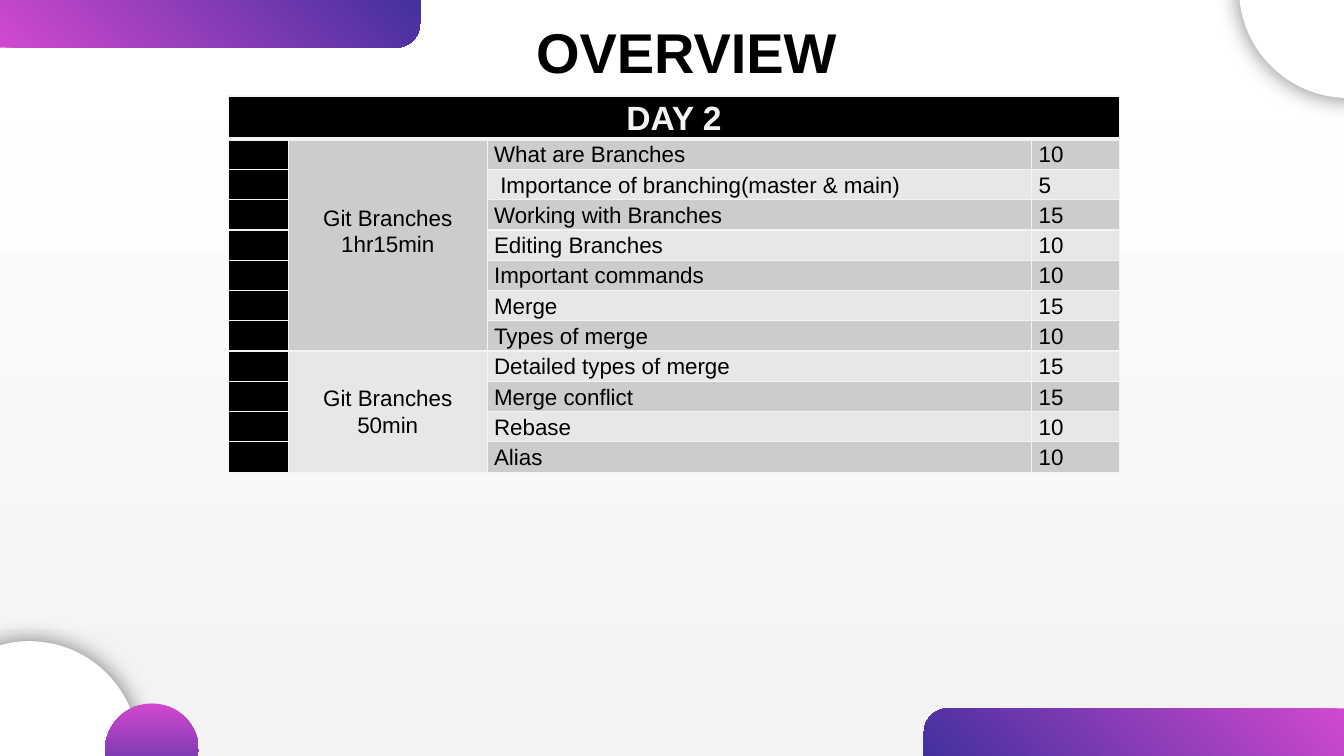
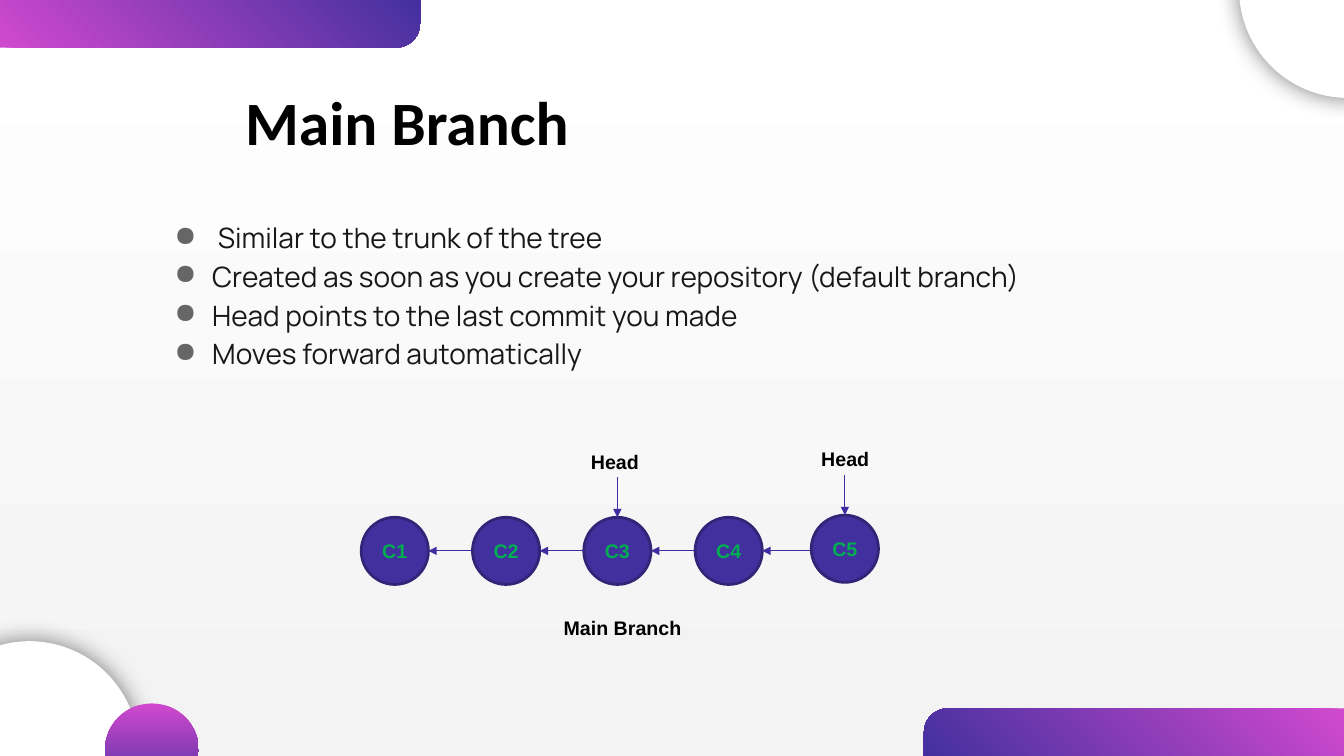
import pptx
import pptx.util
import pptx.dml.color
import pptx.enum.shapes
import pptx.enum.text
import pptx.oxml
import pptx.oxml.ns
import lxml.etree

Pt = pptx.util.Pt
qn = pptx.oxml.ns.qn
SHAPE = pptx.enum.shapes.MSO_SHAPE
ALIGN = pptx.enum.text.PP_ALIGN
ANCHOR = pptx.enum.text.MSO_ANCHOR

W, H = 960, 540
C = {"white": "FFFFFF", "pale": "F3F3F3", "black": "000000", "pink": "D149CE",
     "indigo": "43309F", "outline": "322476", "arrow": "402C9E", "green": "00B050",
     "odd": "CCCCCC", "even": "E7E7E7", "bullet": "666666", "body": "181818"}
LABEL = dict(size=14, color="black", bold=True)


def rgb(name):
    return pptx.dml.color.RGBColor.from_string(C[name])


def sub(parent, tag, **attrs):
    """Append a drawing element with the given attributes."""
    return lxml.etree.SubElement(parent, qn("a:" + tag), {k: str(v) for k, v in attrs.items()})


def paint(fill, color):
    """Solid for a colour name, gradient for (start, end, clockwise angle)."""
    if isinstance(color, str):
        fill.solid()
        fill.fore_color.rgb = rgb(color)
        return
    fill.gradient()
    fill.gradient_angle = 360 - color[2]
    for i, name in enumerate(color[:2]):
        fill.gradient_stops[i].color.rgb = rgb(name)
        fill.gradient_stops[i].position = i


def add_shape(s, kind, box, color):
    sp = s.shapes.add_shape(kind, *map(Pt, box))
    sp.shadow.inherit = False
    sp.line.fill.background()
    paint(sp.fill, color)
    return sp


def write(tf, lines, size, color, bold=False, font="Arial", align=ALIGN.LEFT, spacing=None):
    tf.word_wrap = True
    for i, line in enumerate(lines):
        p = tf.paragraphs[0] if i == 0 else tf.add_paragraph()
        p.alignment = align
        if spacing:
            p.line_spacing = spacing
        r = p.add_run()
        r.text = line
        r.font.size, r.font.bold, r.font.name = Pt(size), bold, font
        r.font.color.rgb = rgb(color)


def add_text(s, box, lines, **style):
    tf = s.shapes.add_textbox(*map(Pt, box)).text_frame
    write(tf, lines, **style)
    return tf


def add_title(s, box, text, size, font, align=ALIGN.LEFT):
    tf = add_text(s, box, [text], size=size, color="black", bold=True, font=font, align=align)
    tf.vertical_anchor = ANCHOR.MIDDLE
    return tf


def add_arrow(s, x1, y1, x2, y2):
    cx = s.shapes.add_connector(pptx.enum.shapes.MSO_CONNECTOR.STRAIGHT,
                                Pt(x1), Pt(y1), Pt(x2), Pt(y2))
    cx.line.color.rgb = rgb("arrow")
    cx.line.width = Pt(0.75)
    sub(cx.line._get_or_add_ln(), "tailEnd", type="triangle")
    sub(cx.element.spPr, "effectLst")


# Shared look: background and corner decoration live on the layout
def decorate(layout, s):
    paint(layout.background.fill, ("white", "pale", 90))
    parts = []
    band_w, band_h, disc = 300, 34, 156
    for x, y, turn in ((0, 0, 180), (W - band_w, H - band_h, 0)):
        band = add_shape(s, SHAPE.ROUND_1_RECTANGLE, (x, y, band_w, band_h),
                         ("pink", "indigo", 45))
        band.adjustments[0] = 0.5
        band.rotation = turn
        band.element.spPr.find(qn("a:xfrm")).set("flipH", "1")
        parts.append(band)
    for x, y in ((-57, 458), (885, -86)):
        circle = add_shape(s, SHAPE.OVAL, (x, y, disc, disc), "white")
        glow = sub(circle.element.spPr.find(qn("a:effectLst")), "outerShdw",
                   blurRad=Pt(16.9), dist=0, dir=0, algn="ctr", rotWithShape=0)
        sub(sub(glow, "srgbClr", val=C["black"]), "alpha", val=50000)
        parts.append(circle)
    parts.append(add_shape(s, SHAPE.OVAL, (75, 502.5, 67, 67), ("pink", "indigo", 90)))
    for sp in parts:
        layout.shapes.element.append(sp.element)


# Agenda table
def style_cell(cell, color, top=1, bottom=1):
    tcPr = cell._tc.get_or_add_tcPr()
    for side, width in (("L", 1), ("R", 1), ("T", top), ("B", bottom)):
        ln = sub(tcPr, "ln" + side, w=Pt(width))
        sub(sub(ln, "solidFill"), "srgbClr", val=C["pale"])
    paint(cell.fill, color)
    cell.margin_left = cell.margin_right = Pt(5)
    cell.margin_top = cell.margin_bottom = 0
    cell.vertical_anchor = ANCHOR.MIDDLE


def agenda(s, box, heading, sections):
    x, y, header_h, row_h = box
    widths = (43, 142, 389, 63)
    count = 1 + sum(len(topics) for _, topics in sections)
    frame = s.shapes.add_table(count, len(widths), Pt(x), Pt(y), Pt(sum(widths)),
                               Pt(header_h + row_h * (count - 1)))
    table = frame.table
    table.first_row = table.horz_banding = False
    for col, width in zip(table.columns, widths):
        col.width = Pt(width)
    for i, row in enumerate(table.rows):
        row.height = Pt(row_h if i else header_h)
        for j, cell in enumerate(row.cells):
            shade = "black" if i == 0 or j == 0 else "odd" if i % 2 else "even"
            style_cell(cell, shade, top=3 if i == 1 else 1, bottom=1 if i else 3)
    head = table.cell(0, 0)
    head.merge(table.cell(0, len(widths) - 1))
    write(head.text_frame, [heading], 24, "pale", True, align=ALIGN.CENTER, spacing=1.07)
    first = 1
    for name, topics in sections:
        group = table.cell(first, 1)
        group.merge(table.cell(first + len(topics) - 1, 1))
        write(group.text_frame, name, 16, "black", align=ALIGN.CENTER, spacing=1.07)
        for i, topic in enumerate(topics, first):
            for j, text in enumerate(topic, 2):
                write(table.cell(i, j).text_frame, [text], 16, "black", spacing=1.07)
        first += len(topics)
    table.cell(1, 1).margin_bottom = Pt(20)


# Bulleted list
def bullets(s, box, lines):
    tf = add_text(s, box, lines, size=20, color="body", font="Manrope",
                  align=ALIGN.JUSTIFY, spacing=1.15)
    for p in tf.paragraphs:
        pPr = p._p.get_or_add_pPr()
        pPr.set("marL", str(Pt(27)))
        pPr.set("indent", str(Pt(-27)))
        sub(sub(pPr, "buClr"), "srgbClr", val=C["bullet"])
        sub(pPr, "buChar", char="●")


# Commit chain: each commit points back at the one before it
def commit_chain(s, x, y, names, heads):
    size, step = 48, 79.5
    last = len(names) - 1
    previous = None
    for i, name in enumerate(names):
        left = x + step * i + (3.5 if i == last else 0)
        top = y - (1.5 if i == last else 0)
        commit = add_shape(s, SHAPE.OVAL, (left, top, size, size), "indigo")
        commit.line.color.rgb = rgb("outline")
        commit.line.width = Pt(2)
        write(commit.text_frame, [name], 14, "green", True, align=ALIGN.CENTER)
        commit.text_frame.vertical_anchor = ANCHOR.MIDDLE
        if previous is not None:
            add_arrow(s, left, y + size / 2, previous + size, y + size / 2)
        if name in heads:
            middle = left + size / 2
            add_text(s, (left + heads[name], top - 52, 129, 24.5), ["Head"], **LABEL)
            add_arrow(s, middle, top - 28.5, middle, top)
        previous = left
    add_text(s, (x + 137.5, y + 67, 129, 24.5), ["Main Branch"], **LABEL)


def overview_slide(s):
    add_title(s, (297, 8.5, 386.5, 55.5), "OVERVIEW", 40, "Arial", ALIGN.CENTER)
    agenda(s, (163, 68.5, 30, 20.5), "DAY 2", [
        (["Git Branches", "1hr15min"], [
            ("What are Branches", "10"),
            ("\u00a0Importance of branching(master & main)", "5"),
            ("Working with Branches", "15"),
            ("Editing Branches", "10"),
            ("Important commands", "10"),
            ("Merge", "15"),
            ("Types of merge", "10")]),
        (["Git Branches", "50min"], [
            ("Detailed types of merge", "15"),
            ("Merge conflict", "15"),
            ("Rebase", "10"),
            ("Alias", "10")])])


def branch_slide(s):
    tf = add_title(s, (168, 44.5, 774, 84), "Main Branch", 44, "Calibri")
    tf.margin_top = tf.margin_bottom = Pt(7.2)
    bullets(s, (117.5, 150.5, 805.5, 315), [
        "\u00a0Similar to the trunk of the tree",
        "Created as soon as you create your repository (default branch)",
        "Head points to the last commit you made",
        "Moves forward automatically"])
    commit_chain(s, 258, 369.5, ["C1", "C2", "C3", "C4", "C5"], {"C3": -2, "C5": 0})


prs = pptx.Presentation()
prs.slide_width, prs.slide_height = Pt(W), Pt(H)
blank = prs.slide_layouts[6]
for number, build in enumerate((overview_slide, branch_slide)):
    s = prs.slides.add_slide(blank)
    if number == 0:
        decorate(blank, s)
    build(s)
prs.save("out.pptx")
